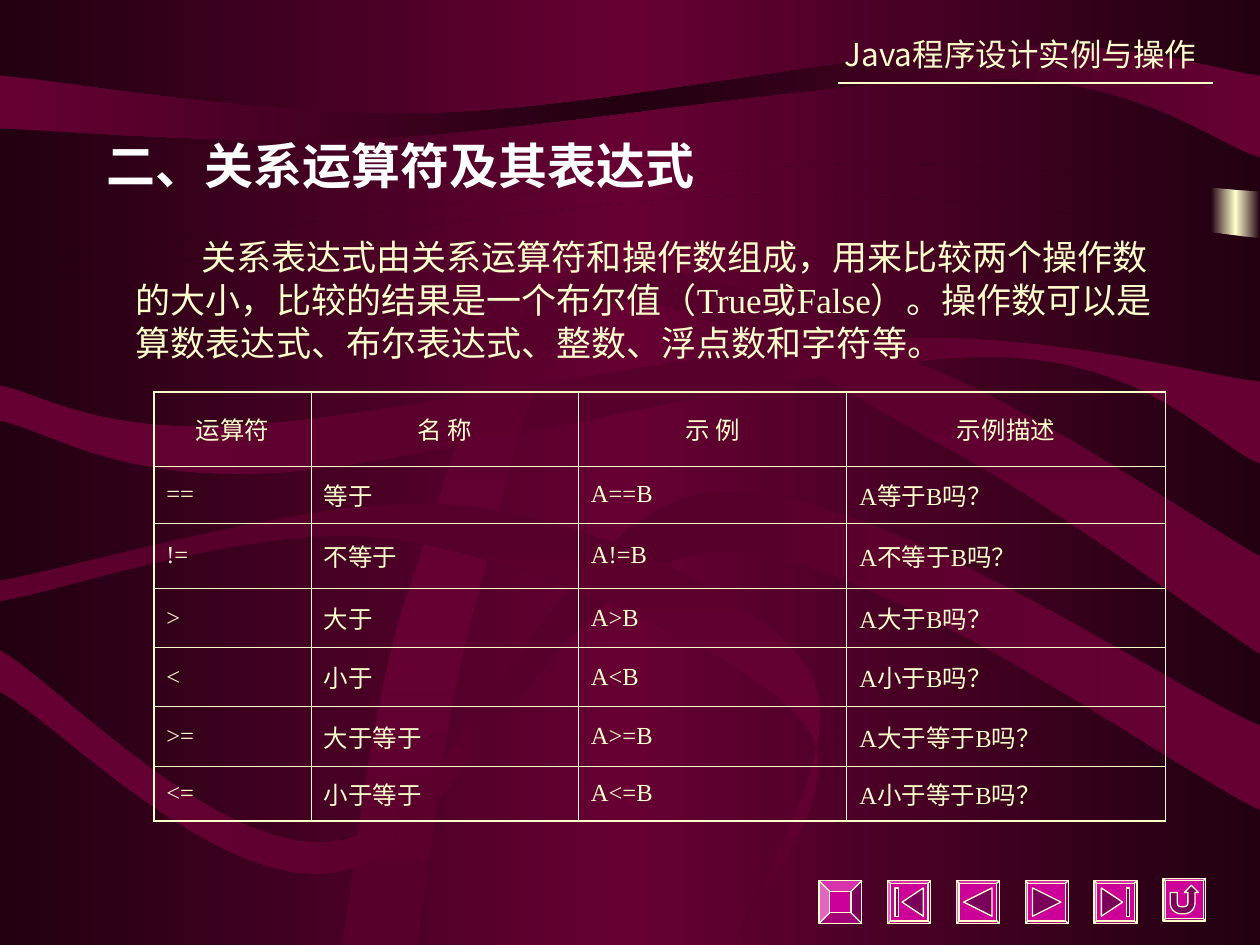
from lxml.etree import SubElement
from pptx import Presentation
from pptx.dml.color import RGBColor
from pptx.enum.shapes import MSO_CONNECTOR, MSO_SHAPE
from pptx.enum.text import MSO_ANCHOR, PP_ALIGN
from pptx.oxml.ns import qn
from pptx.util import Inches, Pt

CREAM = RGBColor(0xFF, 0xFF, 0xCC)
WHITE = RGBColor(0xFF, 0xFF, 0xFF)
DARK = RGBColor(0x22, 0x00, 0x11)
WINE = RGBColor(0x66, 0x00, 0x33)
PLUM = RGBColor(0x56, 0x00, 0x2B)
MAGENTA = RGBColor(0xCC, 0x00, 0x99)

SERIF = "Times New Roman"
SANS = "Noto Sans CJK SC"

# Ribbons: edge colour, middle colour, angle, upper and lower edge knots
RIBBONS = [
    (DARK, WINE, 0, [(0, 0), (10, 0)], [(10, 1.52), (6.25, 1.32), (0, 2.11)]),
    (DARK, WINE, 0, [(0, 2.28), (5.86, 1.55), (10, 1.89)], [(10, 7.5), (0, 7.5)]),
    (WINE, DARK, 0, [(0, 0.6), (3.45, 0.9), (7.92, 0.37), (10, 0.6)],
     [(10, 1.25), (7.94, 0.62), (3.08, 1.09), (0, 1.02)]),
    (WINE, PLUM, 0, [(0, 3.06), (1.9, 3.38), (7.01, 2.69), (10, 3.03)],
     [(10, 3.68), (7.8, 2.83), (2.22, 3.75), (0, 3.34)]),
    (PLUM, WINE, 90, [(2.71, 7.5), (3.24, 4.7), (4.54, 2.18), (7.38, 2.92), (10, 4.42)],
     [(10, 5.19), (7.49, 3.54), (4.79, 2.43), (3.77, 4.8), (3.31, 7.5)]),
    (WINE, PLUM, 0, [(0, 5.16), (2.73, 6.67), (5.62, 3.91), (10, 5.76)],
     [(10, 6.43), (5.65, 4.38), (2.69, 6.92), (0, 5.49)]),
    (PLUM, WINE, 90, [(0, 4.61), (3.66, 4.01), (6.42, 5.32), (5.83, 7.5)],
     [(5.83, 7.5), (6.37, 5.72), (3.14, 4.28), (0, 4.77)]),
]

# Icons on the navigation buttons, left to right
ICONS = [None, MSO_SHAPE.ACTION_BUTTON_BEGINNING,
         MSO_SHAPE.ACTION_BUTTON_BACK_OR_PREVIOUS,
         MSO_SHAPE.ACTION_BUTTON_FORWARD_OR_NEXT,
         MSO_SHAPE.ACTION_BUTTON_END, MSO_SHAPE.ACTION_BUTTON_RETURN]

COL_WIDTHS = [1.25, 2.12, 2.13, 2.53]
ROW_HEIGHTS = [0.59, 0.45, 0.52, 0.47, 0.47, 0.47, 0.44]
HEADINGS = ["运算符", "名 称", "示 例", "示例描述"]
OPERATORS = [("==", "等于"), ("!=", "不等于"), (">", "大于"), ("<", "小于"),
             (">=", "大于等于"), ("<=", "小于等于")]


def set_gradient(fill, element, edge, middle, angle=0):
    fill.gradient()
    fill.gradient_angle = angle
    stops = element.xpath(".//a:gsLst")[0]
    stops.clear()
    for pos, color in ((0, edge), (50000, middle), (100000, edge)):
        gs = SubElement(stops, qn("a:gs"), pos=str(pos))
        SubElement(gs, qn("a:srgbClr"), val=str(color))


def smooth(knots, steps=16):
    """Points of a smooth curve that passes through all knots."""
    ext = [knots[0], *knots, knots[-1]]
    points = [knots[0]]
    for span in zip(ext, ext[1:], ext[2:], ext[3:]):
        for i in range(1, steps + 1):
            t = i / steps
            points.append(tuple(
                b + t * ((c - a) + t * (2 * a - 5 * b + 4 * c - d
                                        + t * (3 * b - a - 3 * c + d))) / 2
                for a, b, c, d in zip(*span)))
    return points


def add_ribbon(s, edge, middle, angle, upper, lower):
    points = [(Inches(x), Inches(y)) for x, y in smooth(upper) + smooth(lower)]
    fb = s.shapes.build_freeform(*points[0])
    fb.add_line_segments(points[1:], close=True)
    sp = fb.convert_to_shape()
    sp.shadow.inherit = False
    sp.line.fill.background()
    set_gradient(sp.fill, sp._element, edge, middle, angle)


def add_button_part(s, kind, left, top, size):
    sp = s.shapes.add_shape(kind, Inches(left), Inches(top), Inches(size), Inches(size))
    sp.shadow.inherit = False
    sp.fill.solid()
    sp.fill.fore_color.rgb = MAGENTA
    sp.line.color.rgb = CREAM
    sp.line.width = Pt(0.75)
    return sp


def add_button(s, left, top, icon):
    bevel = add_button_part(s, MSO_SHAPE.BEVEL, left, top, 0.34)
    bevel.adjustments[0] = 0.07 if icon else 0.25
    if icon:
        add_button_part(s, icon, left + 0.02, top + 0.02, 0.3)


def add_run(p, text, size, color=CREAM, font=SERIF, bold=False):
    r = p.add_run()
    r.text = text
    r.font.size = Pt(size)
    r.font.bold = bold
    r.font.color.rgb = color
    r.font.name = font
    SubElement(r.font._element, qn("a:ea"), typeface=SANS)


def add_text(s, box, text, size, spacing, **style):
    tf = s.shapes.add_textbox(*map(Inches, box)).text_frame
    tf.word_wrap = True
    p = tf.paragraphs[0]
    p.line_spacing = Pt(spacing)
    add_run(p, text, size, **style)
    return tf


def set_borders(cell, widths):
    tcPr = cell._tc.get_or_add_tcPr()
    for i, (side, width) in enumerate(zip("LRTB", widths)):
        ln = SubElement(tcPr, qn(f"a:ln{side}"), w=str(Pt(width)))
        SubElement(SubElement(ln, qn("a:solidFill")), qn("a:srgbClr"), val=str(CREAM))
        tcPr.insert(i, ln)


def add_operator_table(s):
    rows = [HEADINGS] + [(op, name, f"A{op}B", f"A{name}B吗？") for op, name in OPERATORS]
    last_row, last_col = len(rows) - 1, len(COL_WIDTHS) - 1
    table = s.shapes.add_table(len(rows), len(COL_WIDTHS), Inches(1.22), Inches(3.11),
                               Inches(sum(COL_WIDTHS)), Inches(sum(ROW_HEIGHTS))).table
    table.first_row = table.horz_banding = False
    for col, width in zip(table.columns, COL_WIDTHS):
        col.width = Inches(width)
    for i, values in enumerate(rows):
        table.rows[i].height = Inches(ROW_HEIGHTS[i])
        for j, value in enumerate(values):
            cell = table.cell(i, j)
            cell.fill.background()
            cell.vertical_anchor = MSO_ANCHOR.MIDDLE
            outer = (j == 0, j == last_col, i == 0, i == last_row)
            set_borders(cell, [1.08 if edge else 0.45 for edge in outer])
            p = cell.text_frame.paragraphs[0]
            p.alignment = PP_ALIGN.CENTER if i == 0 else PP_ALIGN.LEFT
            add_run(p, value, 14)


def main():
    prs = Presentation()
    prs.slide_width, prs.slide_height = Inches(10), Inches(7.5)
    s = prs.slides.add_slide(prs.slide_layouts[6])

    # Background with side tab and ribbons
    set_gradient(s.background.fill, s._element, DARK, WINE)
    tab = s.shapes.add_shape(MSO_SHAPE.RECTANGLE, Inches(9.61), Inches(0.49),
                             Inches(0.39), Inches(3.45))
    tab.shadow.inherit = False
    tab.line.fill.background()
    set_gradient(tab.fill, tab._element, DARK, CREAM)
    for ribbon in RIBBONS:
        add_ribbon(s, *ribbon)

    # Navigation buttons
    for i, icon in enumerate(ICONS):
        top = 6.97 if icon == MSO_SHAPE.ACTION_BUTTON_RETURN else 6.99
        add_button(s, 6.5 + 2.73 * i / 5, top, icon)

    # Running header
    rule = s.shapes.add_connector(MSO_CONNECTOR.STRAIGHT, Inches(6.65), Inches(0.66),
                                  Inches(9.63), Inches(0.66))
    rule.line.color.rgb = CREAM
    rule.line.width = Pt(0.75)
    SubElement(rule._element.spPr, qn("a:effectLst"))
    tf = add_text(s, (6.5, 0.21, 3.09, 0.4), "Java程序设计实例与操作", 18, 23, font=SANS)
    tf.paragraphs[0].alignment = PP_ALIGN.RIGHT

    # Title and explanation
    add_text(s, (0.75, 0.99, 7.4, 0.57), "二、关系运算符及其表达式", 28, 36,
             color=WHITE, bold=True)
    tf = add_text(s, (0.98, 1.73, 8.5, 1.17),
                  "关系表达式由关系运算符和操作数组成，用来比较两个操作数的大小，"
                  "比较的结果是一个布尔值（True或False）。操作数可以是算数表达式、"
                  "布尔表达式、整数、浮点数和字符等。", 20, 24.6)
    tf.margin_top = Inches(0.13)
    tf.paragraphs[0]._p.get_or_add_pPr().set("indent", str(Inches(0.52)))

    # Operators
    add_operator_table(s)
    prs.save("out.pptx")


if __name__ == "__main__":
    main()
